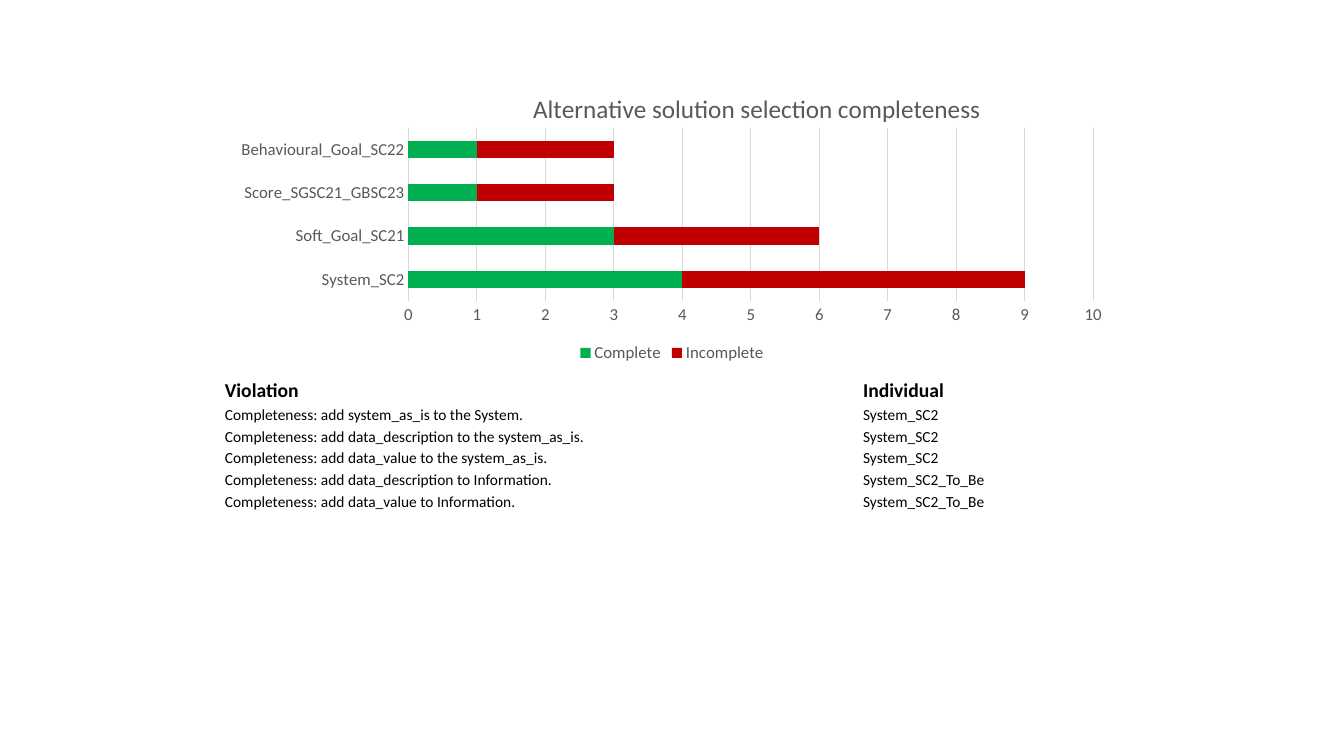
from lxml.etree import SubElement
from pptx import Presentation
from pptx.chart.data import CategoryChartData
from pptx.dml.color import RGBColor
from pptx.enum.chart import XL_CHART_TYPE, XL_LEGEND_POSITION, XL_TICK_MARK
from pptx.enum.text import MSO_ANCHOR
from pptx.oxml.ns import qn
from pptx.util import Inches, Pt

TITLE = "Alternative solution selection completeness"
CATEGORIES = ["System_SC2", "Soft_Goal_SC21", "Score_SGSC21_GBSC23", "Behavioural_Goal_SC22"]
SERIES = [("Complete", [4, 3, 1, 1], "00B050"), ("Incomplete", [5, 3, 2, 2], "C00000")]
ROWS = [
    ("Violation", "Individual"),
    ("Completeness: add system_as_is to the System.", "System_SC2"),
    ("Completeness: add data_description to the system_as_is.", "System_SC2"),
    ("Completeness: add data_value to the system_as_is.", "System_SC2"),
    ("Completeness: add data_description to Information.", "System_SC2_To_Be"),
    ("Completeness: add data_value to Information.", "System_SC2_To_Be"),
]
LEFT, WIDTH = 2.22, 8.89
CHART_TOP, CHART_HEIGHT = 0.68, 2.96
TABLE_TOP, ROW_HEIGHT = 3.75, 0.215
COLUMN_WIDTHS = [6.33, 2.56]
TITLE_PLACE = {"xMode": "edge", "yMode": "edge", "x": 0.34, "y": 0.06}
PLOT_PLACE = {"layoutTarget": "inner", "xMode": "edge", "yMode": "edge",
              "x": 0.206, "y": 0.199, "w": 0.764, "h": 0.58}
GREY, GRID, BLACK = "595959", "D9D9D9", "000000"


def color(value):
    return RGBColor.from_string(value)


def set_font(font, size, hue, bold=False):
    for name, value in {"name": "Calibri", "size": Pt(size), "bold": bold}.items():
        setattr(font, name, value)
    font.color.rgb = color(hue)


def set_line(line, hue):
    line.color.rgb = color(hue)
    line.width = Pt(0.75)


def place(element, index, values):
    """Give a chart part a manual layout, as fractions of the chart."""
    for old in element.findall(qn("c:layout")):
        element.remove(old)
    layout = SubElement(element, qn("c:layout"))
    element.insert(index, layout)
    manual = SubElement(layout, qn("c:manualLayout"))
    for name, value in values.items():
        SubElement(manual, qn(f"c:{name}")).set("val", str(value))


def add_completeness_chart(page):
    data = CategoryChartData()
    data.categories = CATEGORIES
    for name, values, _ in SERIES:
        data.add_series(name, values)
    chart = page.shapes.add_chart(
        XL_CHART_TYPE.BAR_STACKED, Inches(LEFT), Inches(CHART_TOP),
        Inches(WIDTH), Inches(CHART_HEIGHT), data).chart
    set_font(chart.font, 10, BLACK)

    chart.has_title = True
    title = chart.chart_title
    title.include_in_layout = False
    title.text_frame.text = TITLE
    set_font(title.text_frame.paragraphs[0].runs[0].font, 18, GREY)
    chart_element = chart.element.find(qn("c:chart"))
    place(chart_element.find(qn("c:title")), 1, TITLE_PLACE)
    place(chart_element.find(qn("c:plotArea")), 0, PLOT_PLACE)

    chart.has_legend = True
    chart.legend.position = XL_LEGEND_POSITION.BOTTOM
    chart.legend.include_in_layout = False
    set_font(chart.legend.font, 12, GREY)

    for axis in (chart.category_axis, chart.value_axis):
        axis.major_tick_mark = axis.minor_tick_mark = XL_TICK_MARK.NONE
        set_font(axis.tick_labels.font, 12, GREY)
    set_line(chart.category_axis.format.line, GRID)
    value_axis = chart.value_axis
    value_axis.format.line.fill.background()
    set_line(value_axis.major_gridlines.format.line, GRID)
    for name, value in {"minimum_scale": 0, "maximum_scale": 10, "major_unit": 1}.items():
        setattr(value_axis, name, value)

    plot = chart.plots[0]
    for name, value in {"gap_width": 150, "overlap": 100, "vary_by_categories": False}.items():
        setattr(plot, name, value)
    for series, (_, _, hue) in zip(plot.series, SERIES):
        series.format.fill.solid()
        series.format.fill.fore_color.rgb = color(hue)


def add_violation_table(page):
    table = page.shapes.add_table(
        len(ROWS), len(COLUMN_WIDTHS), Inches(LEFT), Inches(TABLE_TOP),
        Inches(WIDTH), Inches(ROW_HEIGHT * len(ROWS))).table
    table.first_row = table.horz_banding = False
    for column, width in zip(table.columns, COLUMN_WIDTHS):
        column.width = Inches(width)
    cell_format = {"margin_left": Inches(0.01), "margin_right": Inches(0.01),
                   "margin_top": Inches(0.01), "margin_bottom": 0,
                   "vertical_anchor": MSO_ANCHOR.BOTTOM}
    for i, texts in enumerate(ROWS):
        table.rows[i].height = Inches(ROW_HEIGHT)
        for j, text in enumerate(texts):
            cell = table.cell(i, j)
            cell.fill.background()
            for name, value in cell_format.items():
                setattr(cell, name, value)
            span = cell.text_frame.paragraphs[0].add_run()
            span.text = text
            set_font(span.font, 11 if i else 14, BLACK, bold=i == 0)


def main():
    deck = Presentation()
    deck.slide_width, deck.slide_height = Inches(13.33), Inches(7.5)
    page = deck.slides.add_slide(deck.slide_layouts[6])
    add_completeness_chart(page)
    add_violation_table(page)
    deck.save("out.pptx")


if __name__ == "__main__":
    main()
